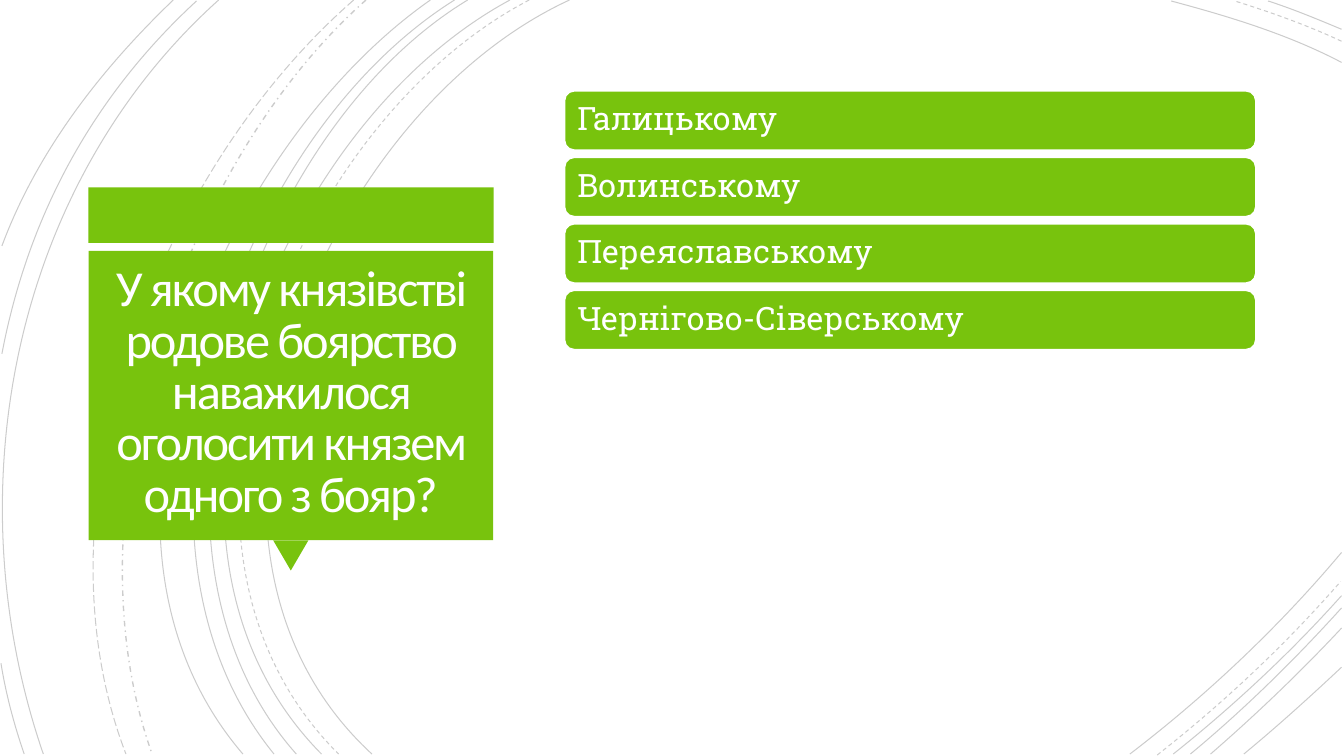
from dataclasses import dataclass
from typing import Any

from lxml.etree import SubElement
from pptx import Presentation
from pptx.dml.color import RGBColor
from pptx.enum.dml import MSO_LINE
from pptx.enum.shapes import MSO_SHAPE
from pptx.enum.text import MSO_ANCHOR, PP_ALIGN
from pptx.oxml.ns import qn
from pptx.shapes.autoshape import Shape
from pptx.shapes.shapetree import SlideShapes
from pptx.util import Pt


@dataclass(frozen=True)
class Theme:
    """Colours, fonts and type sizes of the slide."""
    green: RGBColor = RGBColor(0x78, 0xC3, 0x0D)
    white: RGBColor = RGBColor(0xFF, 0xFF, 0xFF)
    title_color: RGBColor = RGBColor(0xFF, 0xFE, 0xFF)
    curve_color: RGBColor = RGBColor(0, 0, 0)
    curve_alpha: int = 20
    title_font: str = "Calibri"
    title_size: float = 36
    title_tracking: float = -1.5
    answer_font: str = "Roboto Slab"
    answer_size: float = 23


@dataclass(frozen=True)
class Curve:
    """A cubic curve: start, two control points and end, in points."""
    points: tuple[tuple[float, float], ...]
    dash: MSO_LINE = MSO_LINE.SOLID
    width: float = 0.75


@dataclass(frozen=True)
class Block:
    """A filled preset shape, measured in points."""
    kind: MSO_SHAPE
    left: float
    top: float
    width: float
    height: float
    rotation: float = 0


THEME = Theme()
CURVES = (
    Curve(((406.8, 0), (226.8, 82.8), (103, 388.8), (265.7, 538.6))),
    Curve(((958.3, 44.6), (920.2, 24.5), (877, 11.5), (836.6, 0.7))),
    Curve(((807.1, 538.6), (861.8, 496.8), (913.7, 447.8), (958.3, 394.6))),
    Curve(((378, 0), (205.2, 90), (88.6, 386.6), (241.9, 538.6)), MSO_LINE.DASH),
    Curve(((958.3, 29.5), (933.8, 18), (907.2, 8.6), (882, 0.7)), MSO_LINE.DASH),
    Curve(((826.6, 539.3), (873.4, 502.6), (918, 460.8), (957.6, 415.4)), MSO_LINE.DASH),
    Curve(((364.3, 0), (194.4, 91.4), (79.2, 386.6), (229.7, 538.6))),
    Curve(((958.3, 20.9), (941, 13.7), (923.8, 6.5), (905.8, 0.7))),
    Curve(((838.1, 538.6), (880.6, 504.7), (921.6, 466.6), (958.3, 425.5))),
    Curve(((334.1, 0), (175.7, 95.8), (79.2, 389.5), (211.7, 538.6))),
    Curve(((850.3, 538.6), (888.5, 506.9), (924.5, 471.6), (958.3, 434.2))),
    Curve(((324.7, 0), (166.3, 99.4), (69.8, 383.8), (195.8, 538.6))),
    Curve(((864.7, 538.6), (897.1, 510.5), (928.8, 480.2), (958.3, 448.6))),
    Curve(((307.4, 0), (156.2, 105.8), (38.2, 380.9), (173.5, 538.6))),
    Curve(((888.5, 538.6), (912.2, 519.1), (935.3, 498.2), (958.3, 476.6))),
    Curve(((261.4, 0), (126.7, 119.5), (46.8, 366.5), (108.7, 538.6)), MSO_LINE.DASH_DOT, 1),
    Curve(((252.7, 0), (113, 121.7), (20.9, 359.3), (90, 538.6)), MSO_LINE.LONG_DASH),
    Curve(((156.2, 0), (7.9, 133.2), (-33.1, 352.8), (31, 538.6))),
    Curve(((140.4, 0.7), (66.2, 69.1), (20.2, 154.1), (1.4, 252.7))),
    Curve(((0.7, 473.8), (4.3, 496.1), (10.1, 517.7), (17.3, 538.6))),
    Curve(((123.8, 0), (72, 49.7), (26.6, 108), (1.4, 175.7))),
)
TITLE_BLOCKS = (
    Block(MSO_SHAPE.RECTANGLE, 63.2, 133.9, 289.4, 39.6),
    Block(MSO_SHAPE.ISOSCELES_TRIANGLE, 195.1, 385.9, 25.2, 21.6, 180),
    Block(MSO_SHAPE.RECTANGLE, 63.4, 179.3, 288.9, 206.6),
)
TITLE = "У якому князівстві родове боярство наважилося оголосити князем одного з бояр?"
ANSWERS = ("Галицькому", "Волинському", "Переяславському", "Чернігово-Сіверському")
ANSWER_TOP = 64.8
ANSWER_PITCH = 47.5


def apply_format(target: Any, values: dict[str, Any]) -> None:
    """Set each named attribute on the target."""
    for name, value in values.items():
        setattr(target, name, value)


def draw_curve(shapes: SlideShapes, curve: Curve) -> None:
    """Draw one translucent cubic curve."""
    start, *others = [(Pt(x), Pt(y)) for x, y in curve.points]
    builder = shapes.build_freeform(*start)
    builder.add_line_segments(others, close=False)
    shape = builder.convert_to_shape()
    shape.shadow.inherit = False
    shape.fill.background()
    shape.line.color.rgb = THEME.curve_color
    apply_format(shape.line, {"width": Pt(curve.width), "dash_style": curve.dash})
    color = shape.line._get_or_add_ln().find(".//" + qn("a:srgbClr"))
    SubElement(color, qn("a:alpha")).set("val", str(THEME.curve_alpha * 1000))
    outline = shape.element.find(".//" + qn("a:path"))
    bezier = SubElement(outline, qn("a:cubicBezTo"))
    for segment in outline.findall(qn("a:lnTo")):
        bezier.append(segment[0])
        outline.remove(segment)


def draw_block(shapes: SlideShapes, block: Block) -> Shape:
    """Draw one green shape without an outline."""
    box = (Pt(value) for value in (block.left, block.top, block.width, block.height))
    shape = shapes.add_shape(block.kind, *box)
    shape.rotation = block.rotation
    shape.shadow.inherit = False
    shape.fill.solid()
    shape.fill.fore_color.rgb = THEME.green
    shape.line.fill.background()
    return shape


def write_text(shape: Shape, text: str, paragraph_format: dict[str, Any],
               font_format: dict[str, Any], color: RGBColor) -> None:
    """Write one vertically centred paragraph in a shape."""
    frame = shape.text_frame
    margins = {f"margin_{side}": Pt(7.2) for side in ("left", "top", "right", "bottom")}
    apply_format(frame, {"word_wrap": True, "vertical_anchor": MSO_ANCHOR.MIDDLE, **margins})
    paragraph = frame.paragraphs[0]
    apply_format(paragraph, paragraph_format)
    run = paragraph.add_run()
    run.text = text
    apply_format(run.font, font_format)
    run.font.color.rgb = color


def draw_title(shapes: SlideShapes) -> None:
    """Draw the question over its green callout."""
    for block in TITLE_BLOCKS:
        draw_block(shapes, block)
    title = shapes.add_textbox(Pt(69.8), Pt(184.3), Pt(275.8), Pt(194.4))
    write_text(title, TITLE, {"alignment": PP_ALIGN.CENTER, "line_spacing": 0.85},
               {"name": THEME.title_font, "size": Pt(THEME.title_size)}, THEME.title_color)
    run = title.text_frame.paragraphs[0].runs[0]
    run.font._element.set("spc", str(int(THEME.title_tracking * 100)))


def draw_answer(shapes: SlideShapes, index: int, answer: str) -> None:
    """Draw one answer bar at its place in the list."""
    top = ANSWER_TOP + index * ANSWER_PITCH
    bar = draw_block(shapes, Block(MSO_SHAPE.ROUNDED_RECTANGLE, 403.2, top, 493.9, 42.5))
    bar.line.color.rgb = THEME.white
    bar.line.width = Pt(1.25)
    write_text(bar, answer, {"alignment": PP_ALIGN.LEFT, "line_spacing": 0.9},
               {"name": THEME.answer_font, "size": Pt(THEME.answer_size)}, THEME.white)


def main() -> None:
    """Build and save the quiz slide."""
    presentation = Presentation()
    apply_format(presentation, {"slide_width": Pt(960), "slide_height": Pt(540)})
    slide = presentation.slides.add_slide(presentation.slide_layouts[6])
    slide.background.fill.solid()
    slide.background.fill.fore_color.rgb = THEME.white
    for curve in CURVES:
        draw_curve(slide.shapes, curve)
    draw_title(slide.shapes)
    for index, answer in enumerate(ANSWERS):
        draw_answer(slide.shapes, index, answer)
    presentation.save("out.pptx")


if __name__ == "__main__":
    main()
